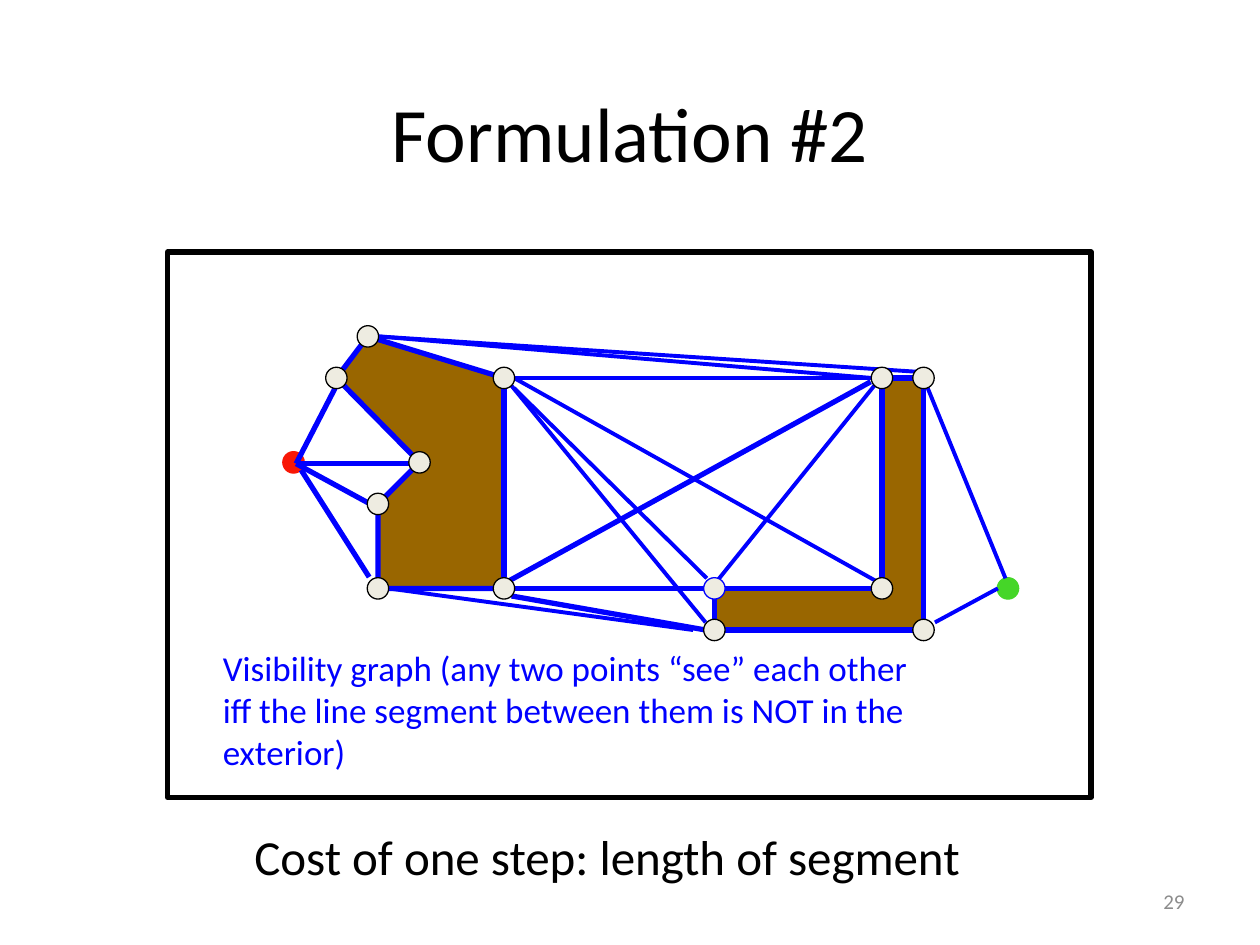
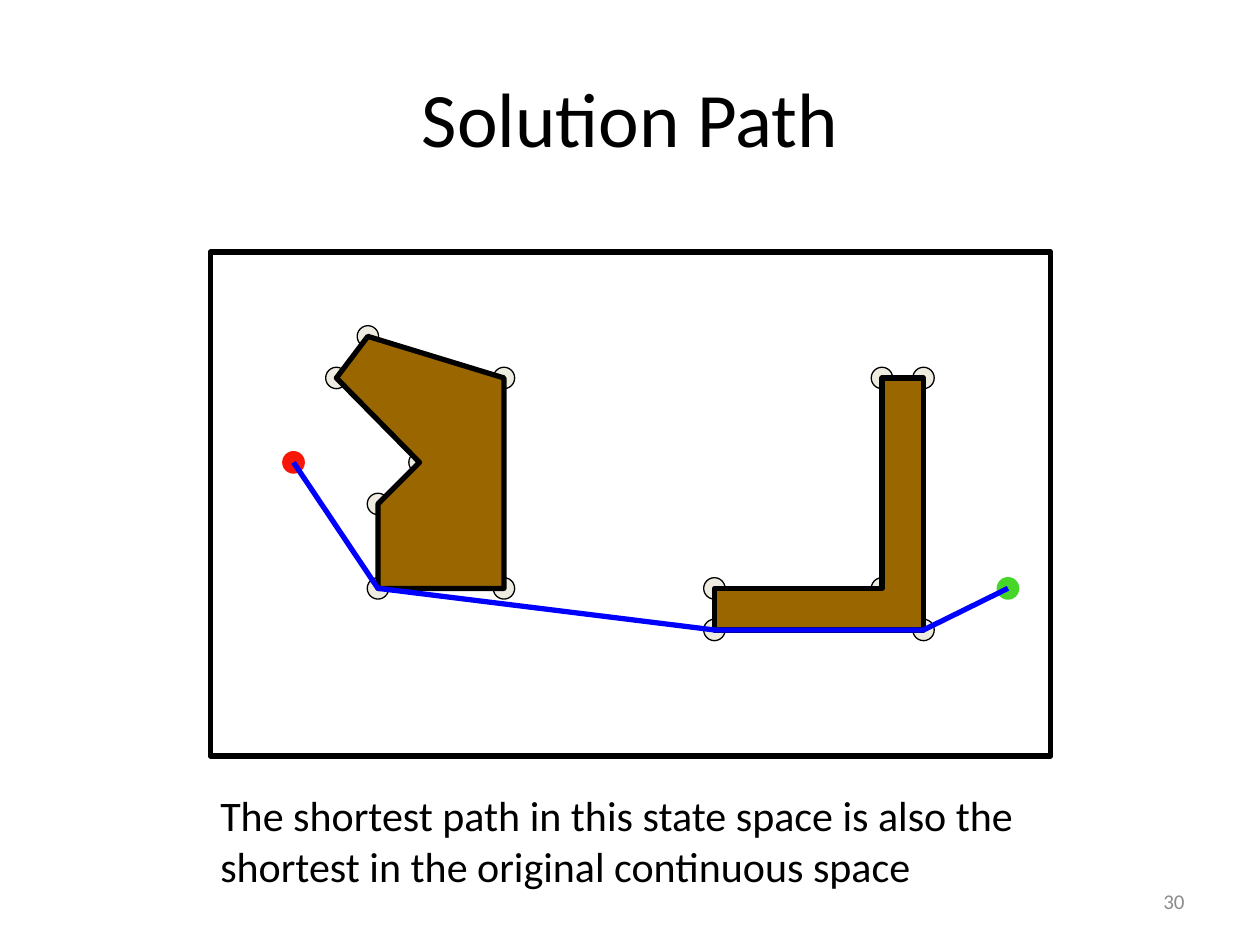
from lxml import etree
from pptx import Presentation
from pptx.dml.color import RGBColor as RGB
from pptx.enum.shapes import MSO_CONNECTOR as Link, MSO_SHAPE as Kind
from pptx.enum.text import MSO_ANCHOR as Anchor, PP_ALIGN as Align
from pptx.oxml.ns import qn
from pptx.util import Inches, Pt

FONT = "Calibri"
BLACK, BLUE, BROWN = "000000", "0000FF", "996600"
IVORY, RED, GREEN, GREY = "EEECE1", "F81706", "45D628", "8C8C8C"
DOT = 0.17

START, GOAL = (2.33, 3.67), (8, 4.67)
NOTCHED = [(2.67, 3), (3.33, 3.67), (3, 4), (3, 4.67), (4, 4.67), (4, 3), (2.92, 2.67)]
ELBOW = [(5.67, 4.67), (5.67, 5), (7.33, 5), (7.33, 3), (7, 3), (7, 4.67)]
INNER = ELBOW[0]
PATH = [GOAL, ELBOW[2], ELBOW[1], NOTCHED[3], START]

# Sight lines by width: from x, from y, to x, to y
SIGHTS = {
    3: [
        (4.08, 4.67, 5.58, 4.67), (4.04, 4.61, 6.91, 3.03), (4.06, 4.73, 5.6, 5),
        (3.92, 4.67, 3.08, 4.67), (4, 4.58, 4, 3.08), (4.08, 4.67, 6.92, 4.67),
        (2.35, 3.68, 2.92, 3.99), (2.35, 3.68, 3.27, 3.68), (2.35, 3.68, 2.66, 3.08),
        (2.39, 3.73, 2.93, 4.58),
    ],
    2.25: [
        (4.08, 3, 6.92, 3), (4.08, 3, 6.95, 4.61), (3, 2.67, 6.92, 3),
        (3, 2.67, 7.27, 2.95), (4.08, 3.08, 5.61, 4.59), (3.08, 4.67, 5.5, 5),
        (4.05, 3.05, 5.6, 4.94), (6.94, 3.06, 5.7, 4.6), (7.92, 4.67, 7.42, 4.94),
        (7.98, 4.59, 7.33, 3),
    ],
}


def color(code):
    return RGB.from_string(code)


def paint(shape, fill, line, width):
    shape.shadow.inherit = False
    if fill:
        shape.fill.solid()
        shape.fill.fore_color.rgb = color(fill)
    else:
        shape.fill.background()
    shape.line.color.rgb = color(line)
    shape.line.width = Pt(width)


def write(frame, text, size, ink=BLACK, align=Align.LEFT, anchor=Anchor.TOP):
    """Fill a text frame: a newline starts a paragraph, \\v breaks a line."""
    frame.word_wrap = True
    frame.vertical_anchor = anchor
    frame.text = text
    for para in frame.paragraphs:
        para.alignment = align
        for run in para.runs:
            run.font.name = FONT
            run.font.size = Pt(size)
            run.font.color.rgb = color(ink)


def label(slide, box, text, size, **style):
    shape = slide.shapes.add_textbox(*map(Inches, box))
    write(shape.text_frame, text, size, **style)


def frame(slide, *box):
    paint(slide.shapes.add_shape(Kind.RECTANGLE, *map(Inches, box)), None, BLACK, 3)


def dot(slide, spot, fill=IVORY, line=BLACK):
    """Draw a small disc centred on the spot."""
    x, y = (Inches(v - DOT / 2) for v in spot)
    disc = slide.shapes.add_shape(Kind.OVAL, x, y, Inches(DOT), Inches(DOT))
    paint(disc, fill, line, 0.75)


def trace(slide, spots, line, fill=None, close=True):
    first, *rest = [(Inches(x), Inches(y)) for x, y in spots]
    pen = slide.shapes.build_freeform(*first)
    pen.add_line_segments(rest, close=close)
    paint(pen.convert_to_shape(), fill, line, 3)


def sight(slide, ends, width):
    wire = slide.shapes.add_connector(Link.STRAIGHT, *map(Inches, ends))
    wire.line.color.rgb = color(BLUE)
    wire.line.width = Pt(width)
    etree.SubElement(wire._element.spPr, qn("a:effectLst"))


def scene(slide, line):
    """Draw both obstacles, the start and the goal."""
    for shape in (NOTCHED, ELBOW):
        trace(slide, shape, line, fill=BROWN)
    dot(slide, START, RED, RED)
    dot(slide, GOAL, GREEN, GREEN)


def page(deck, title, top, number):
    slide = deck.slides.add_slide(deck.slide_layouts[5])
    head = slide.shapes.title
    head.left, head.top, head.width, head.height = map(Inches, (0.5, top, 9, 1.25))
    write(head.text_frame, title, 44, align=Align.CENTER, anchor=Anchor.MIDDLE)
    label(slide, (7.17, 6.95, 2.33, 0.4), str(number), 12, ink=GREY,
          align=Align.RIGHT, anchor=Anchor.MIDDLE)
    return slide


def graph(deck):
    slide = page(deck, "Formulation #2", 0.42, 29)
    frame(slide, 1.33, 2, 7.33, 4.33)
    scene(slide, BLUE)
    for width, group in SIGHTS.items():
        for ends in group:
            sight(slide, ends, width)
    for spot in NOTCHED + ELBOW:
        dot(slide, spot, line=BLUE if spot == INNER else BLACK)
    label(slide, (1.67, 5.08, 5.7, 1.11),
          "Visibility graph (any two points “see” each other\n"
          "iff the line segment between them is NOT in the\n"
          "exterior)", 20, ink=BLUE)
    label(slide, (1.92, 6.51, 6.71, 0.58), "Cost of one step: length of segment", 28)


def answer(deck):
    slide = page(deck, "Solution Path", 0.3, 30)
    for spot in NOTCHED + ELBOW:
        dot(slide, spot)
    frame(slide, 1.67, 2, 6.67, 4)
    scene(slide, BLACK)
    trace(slide, PATH, BLUE, close=False)
    label(slide, (1.65, 6.22, 7.63, 0.91),
          "The shortest path in this state space is also the\v"
          "shortest in the original continuous space", 24)


def main():
    deck = Presentation()
    deck.slide_width, deck.slide_height = Inches(10), Inches(7.5)
    graph(deck)
    answer(deck)
    deck.save("out.pptx")


if __name__ == "__main__":
    main()
